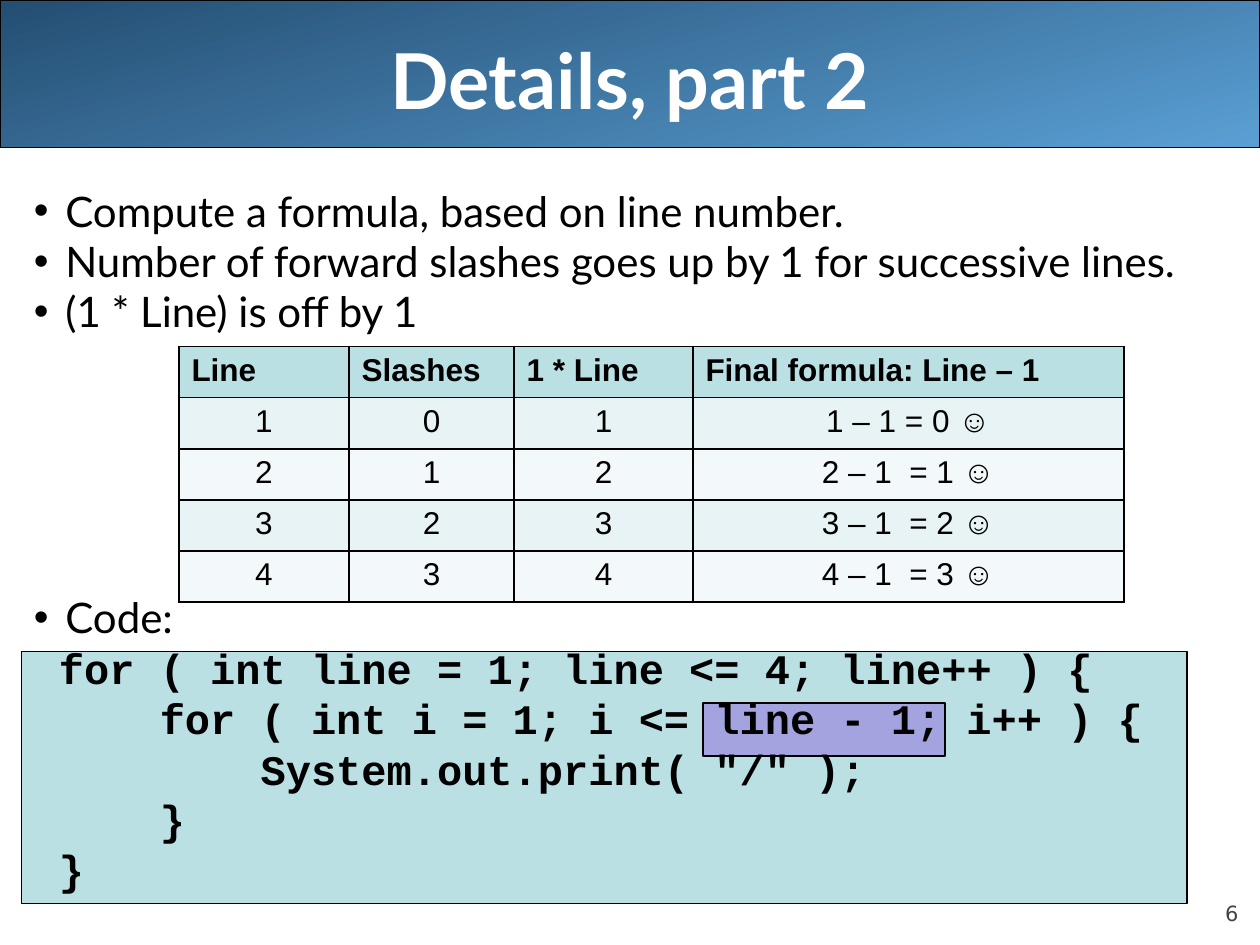
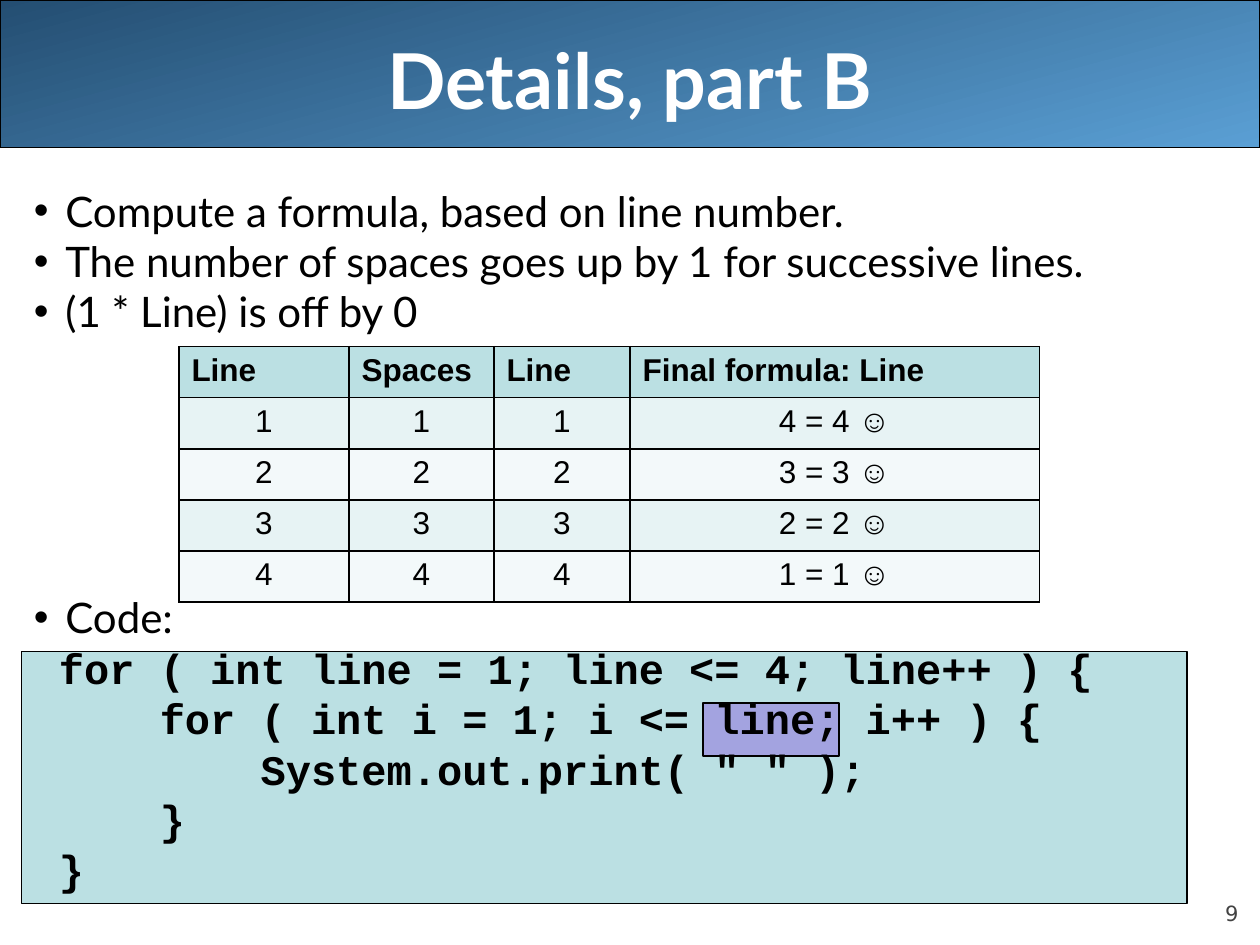
"""Build two slides that derive a loop bound from a table of line numbers."""
import dataclasses

import lxml.etree
import pptx
import pptx.dml.color
import pptx.enum.shapes
import pptx.enum.text
import pptx.oxml.ns
import pptx.util

Inches, Pt = pptx.util.Inches, pptx.util.Pt
RGB = pptx.dml.color.RGBColor.from_string
SHAPE = pptx.enum.shapes.MSO_SHAPE
ALIGN = pptx.enum.text.PP_ALIGN
ANCHOR = pptx.enum.text.MSO_ANCHOR
qn = pptx.oxml.ns.qn


@dataclasses.dataclass(frozen=True)
class Theme:
    band_dark: str = "244E72"
    band_light: str = "5A9FD4"
    panel: str = "BBE0E3"
    highlight: str = "A3A3E0"
    row_fills: tuple = ("F3F9FA", "E7F3F4")
    ink: str = "000000"
    title_ink: str = "FFFFFF"
    number_ink: str = "424242"
    title_font: str = "Lato"
    table_font: str = "Arial"
    code_font: str = "Courier New"
    number_font: str = "DejaVu Sans"
    title_size: int = 44
    body_size: int = 24
    table_size: int = 18
    number_size: int = 12
    leading: float = 28.8


theme = Theme()


def write(p, text, *, font=theme.title_font, size=theme.body_size, color=theme.ink,
          bold=False, align=ALIGN.LEFT, before=0, leading=None, indent=0, bullet=False):
    """Put formatted text in a paragraph."""
    r = p.add_run()
    r.text = text
    r.font.name, r.font.size, r.font.bold = font, Pt(size), bold
    r.font.color.rgb = RGB(color)
    p.alignment = align
    p.space_before = Pt(before)
    if leading:
        p.line_spacing = Pt(leading)
    pPr = p._p.get_or_add_pPr()
    if indent:
        pPr.set("marL", str(Inches(indent)))
    if bullet:
        pPr.set("indent", str(-Inches(indent)))
        lxml.etree.SubElement(pPr, qn("a:buFont"), typeface="Arial")
        lxml.etree.SubElement(pPr, qn("a:buChar"), char="•")


def add_box(slide, kind, left, top, width, height, fill=None):
    """Add an outlined shape without a shadow."""
    sp = slide.shapes.add_shape(kind, Inches(left), Inches(top), Inches(width), Inches(height))
    sp.shadow.inherit = False
    sp.line.color.rgb = RGB(theme.ink)
    sp.line.width = Pt(0.75)
    if fill:
        sp.fill.solid()
        sp.fill.fore_color.rgb = RGB(fill)
    return sp


slides = [
    dict(number="6", title="Details, part 2",
         pattern="Number of forward slashes goes up by 1 for successive lines.",
         offset="(1 * Line) is off by 1",
         bound="line - 1", printed="/", highlight_width=1.92,
         widths=[1.35, 1.31, 1.42, 3.42],
         rows=[["Line", "Slashes", "1 * Line", "Final formula: Line – 1"],
               ["1", "0", "1", "1 – 1 = 0 ☺"],
               ["2", "1", "2", "2 – 1  = 1 ☺"],
               ["3", "2", "3", "3 – 1  = 2 ☺"],
               ["4", "3", "4", "4 – 1  = 3 ☺"]]),
    dict(number="9", title="Details, part B",
         pattern="The number of spaces goes up by 1 for successive lines.",
         offset="(1 * Line) is off by 0",
         bound="line", printed=" ", highlight_width=1.08,
         widths=[1.35, 1.15, 1.08, 3.25],
         rows=[["Line", "Spaces", "Line", "Final formula: Line"],
               ["1", "1", "1", "4 = 4 ☺"],
               ["2", "2", "2", "3 = 3 ☺"],
               ["3", "3", "3", "2 = 2 ☺"],
               ["4", "4", "4", "1 = 1 ☺"]]),
]

prs = pptx.Presentation()
prs.slide_width, prs.slide_height = Inches(10), Inches(7.5)

for content in slides:
    slide = prs.slides.add_slide(prs.slide_layouts[5])

    band = add_box(slide, SHAPE.ROUNDED_RECTANGLE, 0, 0, 10, 1.17)
    band.adjustments[0] = 0
    band.fill.gradient()
    band.fill.gradient_angle = 285
    for stop, color, position in zip(band.fill.gradient_stops,
                                     (theme.band_dark, theme.band_light), (0, 1)):
        stop.color.rgb = RGB(color)
        stop.position = position
    slide.shapes._spTree.insert(2, band._element)

    title = slide.shapes.title
    title.left, title.top, title.width, title.height = Inches(0.5), 0, Inches(9), Inches(1.25)
    title.text_frame.vertical_anchor = ANCHOR.MIDDLE
    write(title.text_frame.paragraphs[0], content["title"], size=theme.title_size,
          color=theme.title_ink, bold=True, align=ALIGN.CENTER)

    number = slide.shapes.add_textbox(Inches(9), Inches(6.95), Inches(0.83), Inches(0.4))
    tf = number.text_frame
    tf.word_wrap = True
    tf.vertical_anchor = ANCHOR.BOTTOM
    tf.margin_left = tf.margin_right = tf.margin_top = tf.margin_bottom = 0
    write(tf.paragraphs[0], content["number"], font=theme.number_font, size=theme.number_size,
          color=theme.number_ink, align=ALIGN.RIGHT)

    add_box(slide, SHAPE.RECTANGLE, 0.17, 5.17, 9.25, 2, theme.panel)
    add_box(slide, SHAPE.RECTANGLE, 5.58, 5.58, content["highlight_width"], 0.42, theme.highlight)

    body = slide.shapes.add_textbox(Inches(0.17), Inches(1.42), Inches(9.83), Inches(5.67))
    tf = body.text_frame
    tf.word_wrap = True
    bullets = [("Compute a formula, based on line number.", 0), (content["pattern"], 0),
               (content["offset"], 0), ("Code:", 146)]
    for i, (text, before) in enumerate(bullets):
        p = tf.add_paragraph() if i else tf.paragraphs[0]
        write(p, text, before=before, leading=theme.leading, indent=0.25, bullet=True)
    code = [(0, "for ( int line = 1; line <= 4; line++ ) {"),
            (1, f"for ( int i = 1; i <= {content['bound']}; i++ ) {{"),
            (2, f"System.out.print( \"{content['printed']}\" );"),
            (1, "}"),
            (0, "}")]
    for depth, text in code:
        write(tf.add_paragraph(), text, font=theme.code_font, bold=True,
              leading=theme.leading, indent=0.2 + 0.8 * depth)

    rows, widths = content["rows"], content["widths"]
    table = slide.shapes.add_table(len(rows), len(widths), Inches(1.42), Inches(2.75),
                                   Inches(sum(widths)), Inches(2.03)).table
    for column, width in zip(table.columns, widths):
        column.width = Inches(width)
    for i, row in enumerate(rows):
        for j, text in enumerate(row):
            cell = table.cell(i, j)
            tcPr = cell._tc.get_or_add_tcPr()
            for side in ("a:lnL", "a:lnR", "a:lnT", "a:lnB"):
                ln = lxml.etree.SubElement(tcPr, qn(side), w=str(Pt(1)))
                fill = lxml.etree.SubElement(ln, qn("a:solidFill"))
                lxml.etree.SubElement(fill, qn("a:srgbClr"), val=theme.ink)
            cell.fill.solid()
            cell.fill.fore_color.rgb = RGB(theme.row_fills[i % 2] if i else theme.panel)
            write(cell.text_frame.paragraphs[0], text, font=theme.table_font,
                  size=theme.table_size, bold=i == 0,
                  align=ALIGN.CENTER if i else ALIGN.LEFT)

prs.save("out.pptx")
